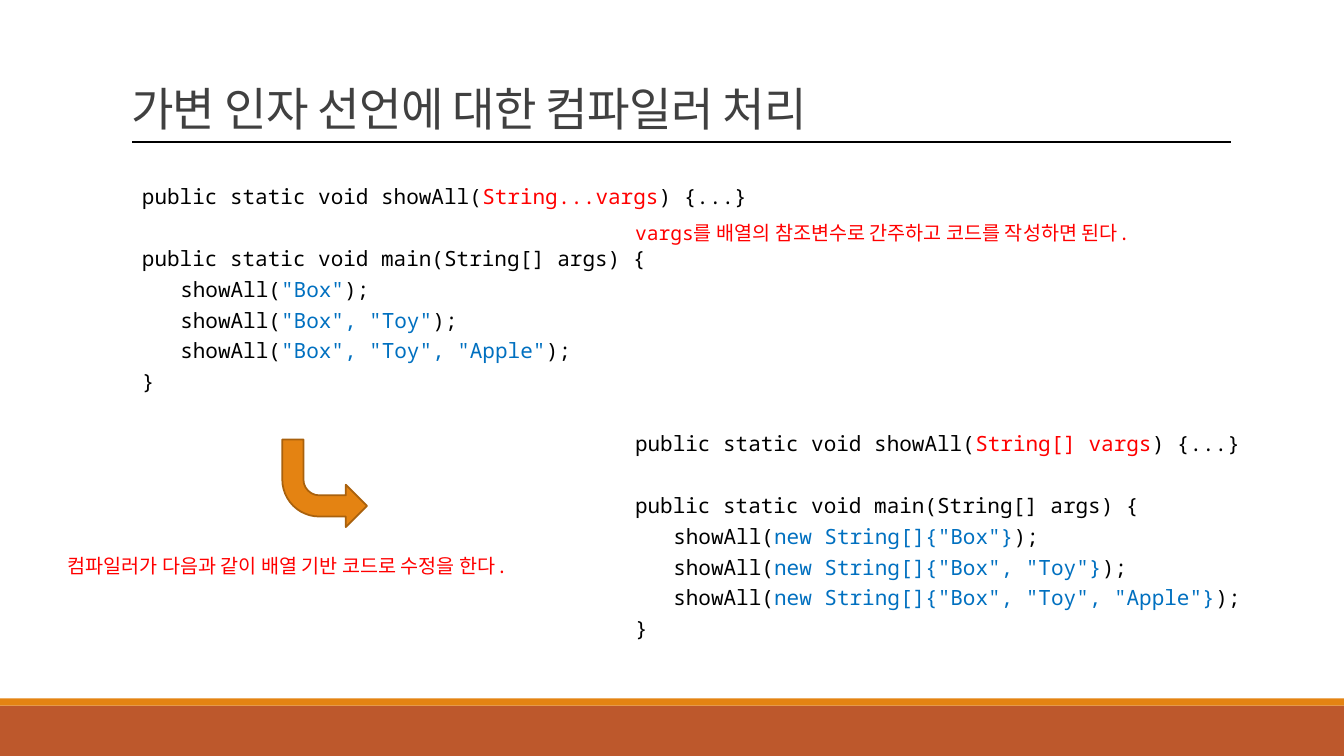
from dataclasses import dataclass

import lxml.etree
import pptx
import pptx.dml.color
import pptx.enum.shapes
import pptx.enum.text
import pptx.oxml.ns
import pptx.util
from pptx.util import Inches

BLACK, RED, BLUE = "000000", "FF0000", "0070C0"
ORANGE, RUST, BROWN, GREY = "E48312", "BD582C", "A9610D", "404040"
LINE_PITCH = pptx.util.Pt(22)
CODE_INDENT = Inches(0.38)


@dataclass(frozen=True)
class Listing:
    """A Java listing: where it stands, its parameter and its call arguments."""
    left: float
    top: float
    parameter: str
    arguments: tuple[str, ...]


@dataclass(frozen=True)
class Remark:
    """A red one-line explanation."""
    left: float
    top: float
    text: str


@dataclass(frozen=True)
class Band:
    """A full-width footer stripe."""
    top: float
    height: float
    color: str


LISTINGS = (
    Listing(1.31, 1.72, "String...vargs",
            ('"Box"', '"Box", "Toy"', '"Box", "Toy", "Apple"')),
    Listing(6.2, 4.17, "String[] vargs",
            ('new String[]{"Box"}', 'new String[]{"Box", "Toy"}',
             'new String[]{"Box", "Toy", "Apple"}')),
)
REMARKS = (
    Remark(6.2, 2.07, "vargs를 배열의 참조변수로 간주하고 코드를 작성하면 된다."),
    Remark(0.57, 5.37, "컴파일러가 다음과 같이 배열 기반 코드로 수정을 한다."),
)
BANDS = (Band(7, 0.5, RUST), Band(6.93, 0.07, ORANGE))


def rgb(color: str) -> pptx.dml.color.RGBColor:
    """Turn a hex string into a colour."""
    return pptx.dml.color.RGBColor.from_string(color)


def add_frame(slide, left: float, top: float, width: float, height: float):
    """Add a wrapping text box that grows with its text; return its frame."""
    frame = slide.shapes.add_textbox(
        Inches(left), Inches(top), Inches(width), Inches(height)).text_frame
    frame.word_wrap = True
    frame.auto_size = pptx.enum.text.MSO_AUTO_SIZE.SHAPE_TO_FIT_TEXT
    return frame


def format_line(paragraph, size: int) -> None:
    """Give a line the monospaced font and the fixed pitch."""
    paragraph.font.name = "Noto Sans Mono"
    paragraph.font.size = pptx.util.Pt(size)
    paragraph.line_spacing = LINE_PITCH


def add_listing(slide, listing: Listing) -> None:
    """Write a listing with its parameter in red and its arguments in blue."""
    calls = [(("showAll(", BLACK), (argument, BLUE), (");", BLACK))
             for argument in listing.arguments]
    signature = (("public static void showAll(", BLACK),
                 (listing.parameter, RED), (") {...}", BLACK))
    main_header = (("public static void main(String[] args) {", BLACK),)
    code = [signature, main_header, *calls, (("}", BLACK),)]

    frame = add_frame(slide, listing.left, listing.top, 6.67, 2.26)
    for number, pieces in enumerate(code):
        line = frame.add_paragraph() if number else frame.paragraphs[0]
        format_line(line, 15)
        if pieces is main_header:
            line.space_before = LINE_PITCH
        if pieces in calls:
            properties = line._p.get_or_add_pPr()
            properties.set("marL", str(int(CODE_INDENT)))
            properties.set("indent", "0")
        for text, color in pieces:
            piece = line.add_run()
            piece.text = text
            piece.font.color.rgb = rgb(color)


def add_remark(slide, remark: Remark) -> None:
    """Write a red explanation."""
    line = add_frame(slide, remark.left, remark.top, 6.13, 0.38).paragraphs[0]
    line.text = remark.text
    format_line(line, 14)
    line.font.color.rgb = rgb(RED)


def add_band(slide, band: Band) -> None:
    """Draw a footer stripe."""
    stripe = slide.shapes.add_shape(
        pptx.enum.shapes.MSO_SHAPE.RECTANGLE,
        0, Inches(band.top), Inches(13.33), Inches(band.height))
    stripe.shadow.inherit = False
    stripe.fill.solid()
    stripe.fill.fore_color.rgb = rgb(band.color)
    stripe.line.fill.background()


def add_title(slide, text: str) -> None:
    """Fill the title placeholder and underline it with a rule."""
    title = slide.shapes.title
    title.left, title.top = Inches(1.2), Inches(0.14)
    title.width, title.height = Inches(11), Inches(1.26)
    frame = title.text_frame
    frame.vertical_anchor = pptx.enum.text.MSO_ANCHOR.BOTTOM
    frame.auto_size = pptx.enum.text.MSO_AUTO_SIZE.NONE
    heading = frame.paragraphs[0]
    heading.text = text
    heading.alignment = pptx.enum.text.PP_ALIGN.LEFT
    heading.line_spacing = 0.85
    heading.font.name = "Calibri"
    heading.font.size = pptx.util.Pt(33)
    heading.font.color.rgb = rgb(GREY)
    heading.runs[0]._r.get_or_add_rPr().set("spc", "-50")

    rule = slide.shapes.add_connector(
        pptx.enum.shapes.MSO_CONNECTOR.STRAIGHT,
        Inches(1.31), Inches(1.41), Inches(12.21), Inches(1.41))
    rule.line.color.rgb = rgb(BLACK)
    rule.line.width = pptx.util.Pt(1)
    lxml.etree.SubElement(rule._element.spPr, pptx.oxml.ns.qn("a:effectLst"))


def add_rewrite_arrow(slide) -> None:
    """Draw the arrow that bends from the source code to the rewritten code."""
    arrow = slide.shapes.add_shape(
        pptx.enum.shapes.MSO_SHAPE.BENT_ARROW,
        Inches(2.8), Inches(4.36), Inches(0.84), Inches(0.87))
    arrow._element.spPr.find(pptx.oxml.ns.qn("a:xfrm")).set("flipV", "1")
    arrow.shadow.inherit = False
    arrow.fill.solid()
    arrow.fill.fore_color.rgb = rgb(ORANGE)
    arrow.line.color.rgb = rgb(BROWN)
    arrow.line.width = pptx.util.Pt(1.25)


def main() -> None:
    """Build the slide and save it."""
    deck = pptx.Presentation()
    deck.slide_width, deck.slide_height = Inches(13.33), Inches(7.5)
    slide = deck.slides.add_slide(deck.slide_layouts.get_by_name("Title Only"))
    for band in BANDS:
        add_band(slide, band)
    add_title(slide, "가변 인자 선언에 대한 컴파일러 처리")
    for listing in LISTINGS:
        add_listing(slide, listing)
    for remark in REMARKS:
        add_remark(slide, remark)
    add_rewrite_arrow(slide)
    deck.save("out.pptx")


main()
